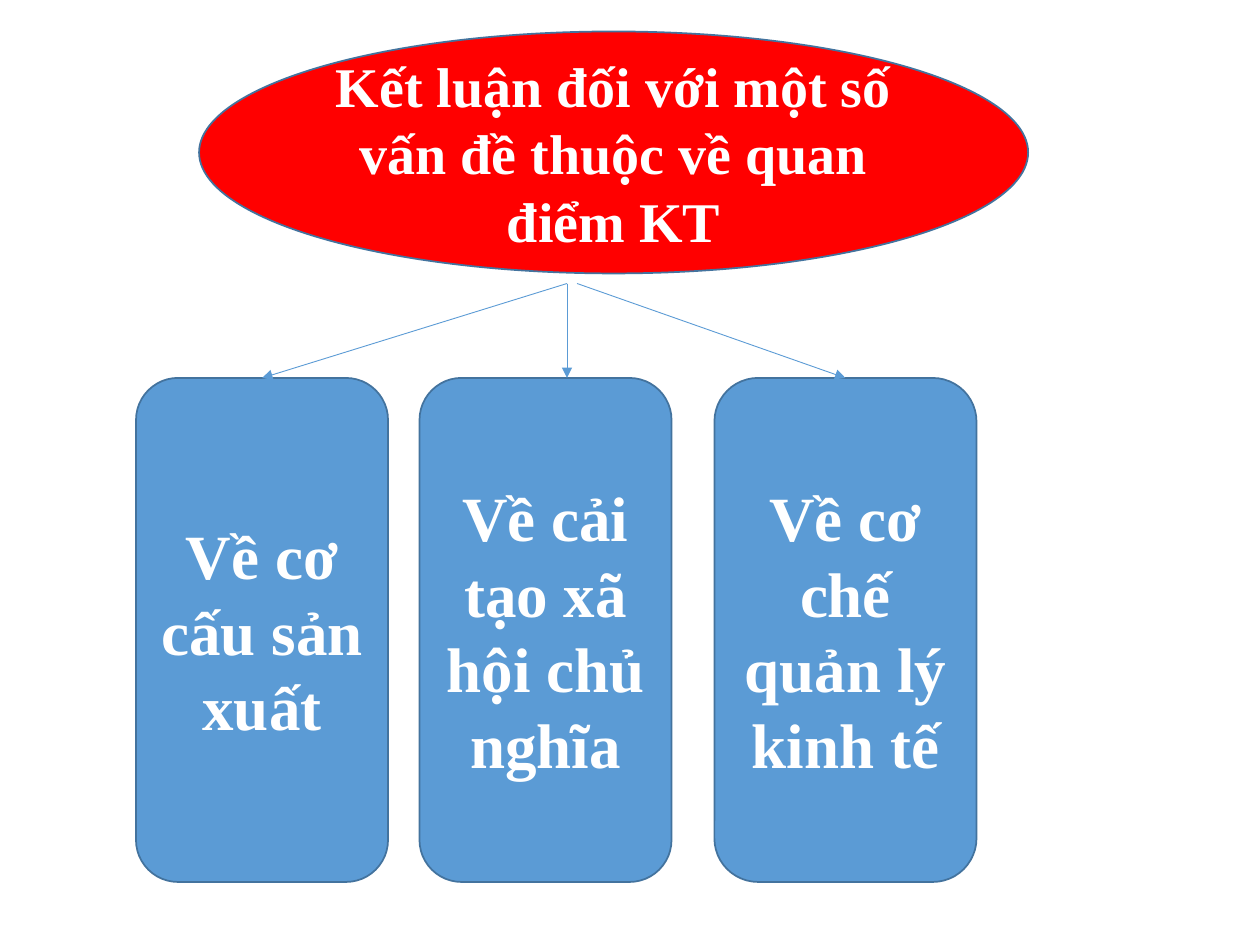
from dataclasses import dataclass
from typing import Optional

from pptx import Presentation
from pptx.dml.color import RGBColor
from pptx.enum.shapes import MSO_CONNECTOR as Link, MSO_SHAPE as Kind
from pptx.enum.text import MSO_ANCHOR as Anchor, PP_ALIGN as Align
from pptx.oxml.ns import qn
from pptx.util import Inches, Pt
from lxml.etree import SubElement

FONT = "Times New Roman"
WHITE, RED, BLUE, EDGE = "FFFFFF", "FF0000", "5B9BD5", "43739E"
TOP, HEIGHT = 3, 4  # row of boxes
START = 2.25        # where the arrows begin


@dataclass
class Node:
    text: str
    kind: Kind
    left: float
    top: float
    width: float
    height: float
    fill: str
    size: int


@dataclass
class Arrow:
    start: float
    end: float
    box: Optional[int] = None  # box joined at its top side


def paint(color, code: str) -> None:
    color.rgb = RGBColor.from_string(code)


def draw_node(slide, node: Node):
    shape = slide.shapes.add_shape(
        node.kind, Inches(node.left), Inches(node.top),
        Inches(node.width), Inches(node.height))
    shape.shadow.inherit = False
    shape.fill.solid()
    paint(shape.fill.fore_color, node.fill)
    paint(shape.line.color, EDGE)
    shape.line.width = Pt(1)

    frame = shape.text_frame
    frame.word_wrap = True
    frame.vertical_anchor = Anchor.MIDDLE
    para = frame.paragraphs[0]
    para.alignment = Align.CENTER
    run = para.add_run()
    run.text = node.text
    run.font.name = FONT
    run.font.size = Pt(node.size)
    run.font.bold = True
    paint(run.font.color, WHITE)
    return shape


def draw_arrow(slide, arrow: Arrow, boxes: list) -> None:
    line = slide.shapes.add_connector(
        Link.STRAIGHT, Inches(arrow.start), Inches(START),
        Inches(arrow.end), Inches(TOP))
    if arrow.box is not None:
        line.end_connect(boxes[arrow.box], 0)
    paint(line.line.color, BLUE)
    line.line.width = Pt(0.5)
    # Arrowhead, and no shadow
    SubElement(line.line._get_or_add_ln(), qn("a:tailEnd"), type="triangle")
    SubElement(line._element.spPr, qn("a:effectLst"))


def box(text: str, left: float, width: float) -> Node:
    return Node(text, Kind.ROUNDED_RECTANGLE, left, TOP, width, HEIGHT, BLUE, 36)


HEAD = Node("Kết luận đối với một số vấn đề thuộc về quan điểm KT",
            Kind.OVAL, 1.58, 0.25, 6.58, 1.92, RED, 32)
BOXES = [
    box("Về cơ cấu sản xuất", 1.08, 2),
    box("Về cải tạo xã hội chủ nghĩa", 3.33, 2),
    box("Về cơ chế quản lý kinh tế", 5.67, 2.08),
]
ARROWS = [Arrow(4.5, 2.08, 0), Arrow(4.5, 4.5), Arrow(4.58, 6.71, 2)]


def main() -> None:
    deck = Presentation()
    deck.slide_width, deck.slide_height = Inches(10), Inches(7.5)
    slide = deck.slides.add_slide(deck.slide_layouts[6])

    # Heading, then the three topics and the arrows to them
    draw_node(slide, HEAD)
    boxes = [draw_node(slide, node) for node in BOXES]
    for arrow in ARROWS:
        draw_arrow(slide, arrow, boxes)

    deck.save("out.pptx")


if __name__ == "__main__":
    main()
